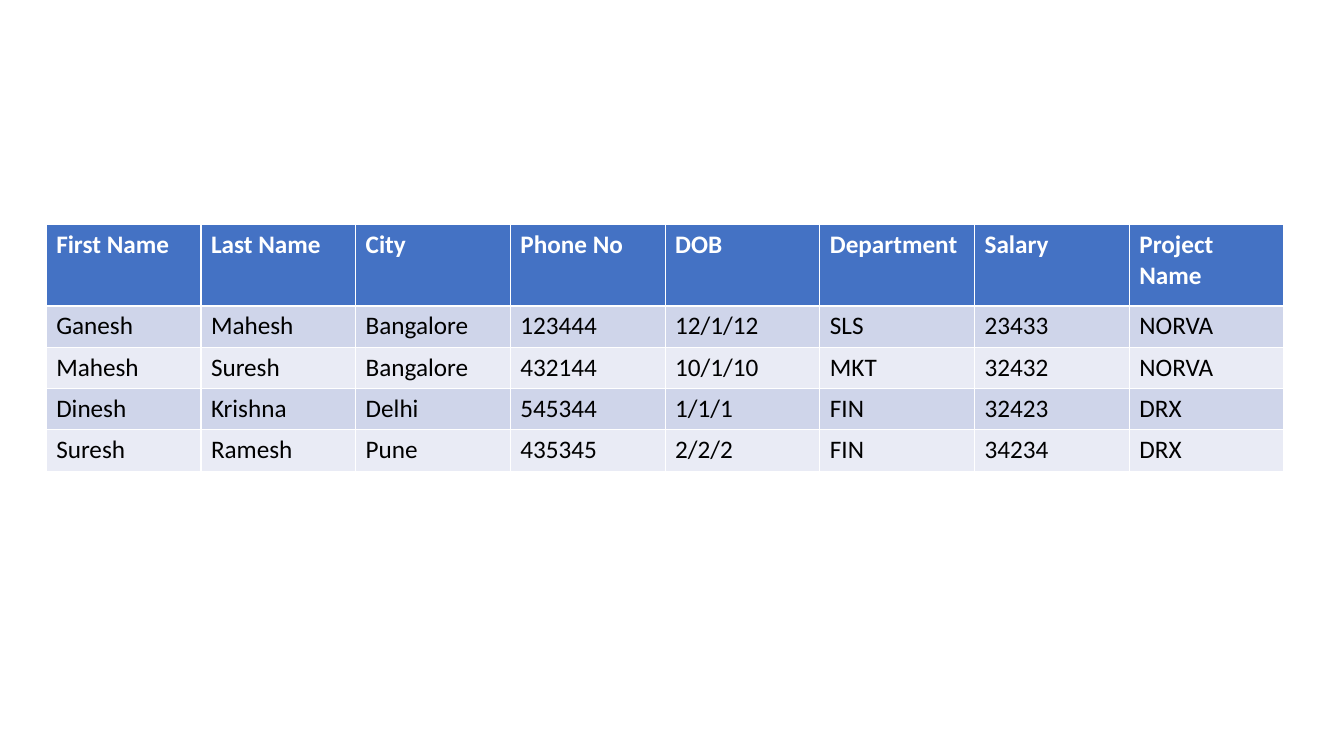
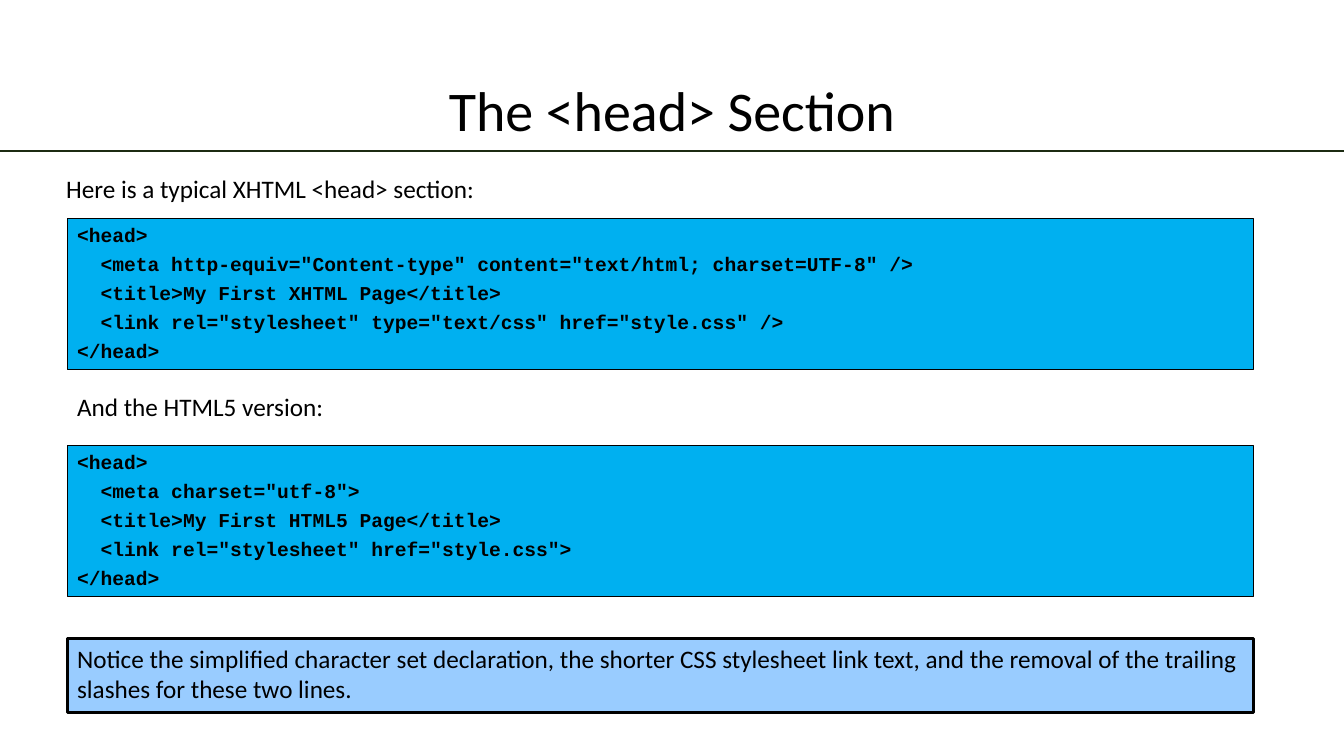
from dataclasses import dataclass

from lxml.etree import SubElement
from pptx import Presentation
from pptx.dml.color import RGBColor
from pptx.enum.shapes import MSO_CONNECTOR, MSO_SHAPE
from pptx.enum.text import MSO_ANCHOR, MSO_AUTO_SIZE, PP_ALIGN
from pptx.oxml.ns import qn
from pptx.util import Inches, Pt


@dataclass(frozen=True)
class Theme:
    black: RGBColor = RGBColor.from_string("000000")
    white: RGBColor = RGBColor.from_string("FFFFFF")
    rule: RGBColor = RGBColor.from_string("1C2B12")
    header: RGBColor = RGBColor.from_string("4472C4")
    bands: tuple = (RGBColor.from_string("CFD5EA"), RGBColor.from_string("E9EBF5"))
    code_fill: RGBColor = RGBColor.from_string("00B0F0")
    note_fill: RGBColor = RGBColor.from_string("99CCFF")
    body_font: str = "Calibri"
    code_font: str = "Courier New"
    title_size: int = 40
    body_size: int = 18
    code_size: int = 14


T = Theme()
COLS, ROWS = 160, 90  # grid of the slide, twelve cells to the inch

prs = Presentation()
prs.slide_width, prs.slide_height = Inches(COLS / 12), Inches(ROWS / 12)


def grid(*cells):
    return [Inches(c / 12) for c in cells]


def write(tf, text, font=T.body_font, size=T.body_size, color=T.black, bold=False,
          align=PP_ALIGN.LEFT, anchor=MSO_ANCHOR.TOP, wrap=True, gap=0, spacing=None):
    """Fill a text frame, one paragraph a line, with gap points between them."""
    tf.word_wrap = wrap
    tf.vertical_anchor = anchor
    for i, line in enumerate(text.split("\n")):
        p = tf.paragraphs[0] if i == 0 else tf.add_paragraph()
        p.alignment = align
        if i:
            p.space_before = Pt(gap)
        if spacing:
            p.line_spacing = spacing
        r = p.add_run()
        r.text = line
        r.font.name, r.font.size, r.font.bold = font, Pt(size), bold
        r.font.color.rgb = color


# Slide 1: employee table
records = [
    ["First Name", "Last Name", "City", "Phone No", "DOB", "Department", "Salary", "Project Name"],
    ["Ganesh", "Mahesh", "Bangalore", "123444", "12/1/12", "SLS", "23433", "NORVA"],
    ["Mahesh", "Suresh", "Bangalore", "432144", "10/1/10", "MKT", "32432", "NORVA"],
    ["Dinesh", "Krishna", "Delhi", "545344", "1/1/1", "FIN", "32423", "DRX"],
    ["Suresh", "Ramesh", "Pune", "435345", "2/2/2", "FIN", "34234", "DRX"],
]
s = prs.slides.add_slide(prs.slide_layouts[6])
table = s.shapes.add_table(len(records), len(records[0]), *grid(5.5, 26.7, 147.4, 29.2)).table
for i, record in enumerate(records):
    table.rows[i].height = Inches(0.41 if i else 0.81)
    for j, value in enumerate(record):
        cell = table.cell(i, j)
        cell.fill.solid()
        cell.fill.fore_color.rgb = T.bands[(i - 1) % 2] if i else T.header
        write(cell.text_frame, value, color=T.black if i else T.white, bold=i == 0)

# Slide 2: the head section in XHTML and HTML5
LEFT, WIDTH = 8, 141.2
s = prs.slides.add_slide(prs.slide_layouts[6])
title = s.shapes.add_textbox(*grid(11, 4.8, 138, 17.4))
write(title.text_frame, "The <head> Section", size=T.title_size,
      align=PP_ALIGN.CENTER, anchor=MSO_ANCHOR.MIDDLE, spacing=0.9)

rule = s.shapes.add_connector(MSO_CONNECTOR.STRAIGHT, *grid(0, 18, COLS, 18))
rule.line.color.rgb, rule.line.width = T.rule, Pt(1.25)
SubElement(rule.element.spPr, qn("a:effectLst"))

captions = [
    (6.7, 20, 51.6, "Here is a typical XHTML <head> section:"),
    (LEFT, 46, 32, "And the HTML5 version:"),
]
for x, y, w, text in captions:
    caption = s.shapes.add_textbox(*grid(x, y, w, 4.8))
    write(caption.text_frame, text, wrap=False)
    caption.text_frame.auto_size = MSO_AUTO_SIZE.SHAPE_TO_FIT_TEXT

xhtml = """<head>
  <meta http-equiv="Content-type" content="text/html; charset=UTF-8" />
  <title>My First XHTML Page</title>
  <link rel="stylesheet" type="text/css" href="style.css" />
</head>"""
html5 = """<head>
  <meta charset="utf-8">
  <title>My First HTML5 Page</title>
  <link rel="stylesheet" href="style.css">
</head>"""
notice = ("Notice the simplified character set declaration, the shorter CSS stylesheet "
          "link text, and the removal of the trailing slashes for these two lines.")
code = dict(font=T.code_font, size=T.code_size, bold=True, gap=3.8)
panels = [
    (26, 18, T.code_fill, 0.75, xhtml, code),
    (53, 18, T.code_fill, 0.75, html5, code),
    (76, 8.8, T.note_fill, 2, notice, {}),
]
for y, h, fill, border, text, style in panels:
    sp = s.shapes.add_shape(MSO_SHAPE.RECTANGLE, *grid(LEFT, y, WIDTH, h))
    sp.shadow.inherit = False
    sp.fill.solid()
    sp.fill.fore_color.rgb = fill
    sp.line.color.rgb, sp.line.width = T.black, Pt(border)
    write(sp.text_frame, text, **style)

prs.save("out.pptx")
